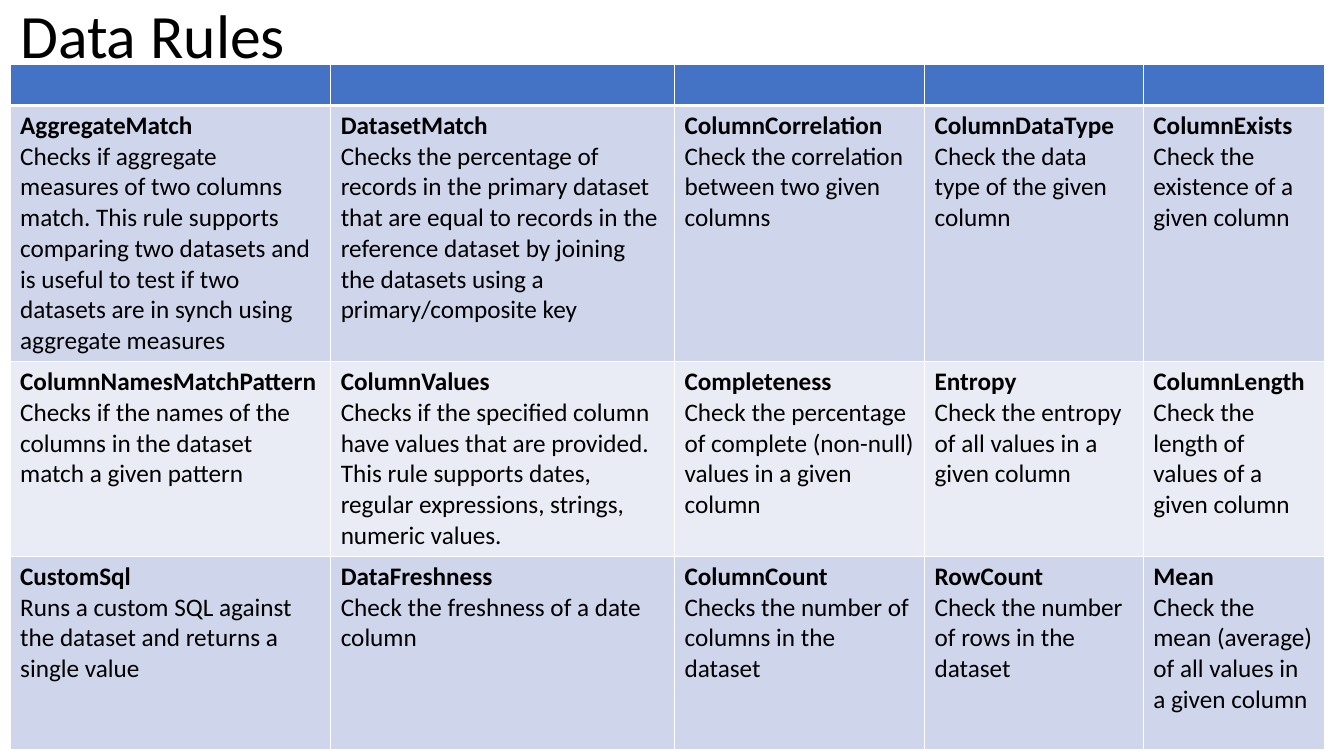
from lxml.etree import SubElement
from pptx import Presentation
from pptx.dml.color import RGBColor
from pptx.enum.text import MSO_ANCHOR, MSO_AUTO_SIZE, PP_ALIGN
from pptx.oxml.ns import qn
from pptx.util import Inches, Pt

BLACK = RGBColor(0x00, 0x00, 0x00)
WHITE = RGBColor(0xFF, 0xFF, 0xFF)
BLUE = RGBColor(0x44, 0x72, 0xC4)
BAND_DARK = RGBColor(0xCF, 0xD5, 0xEA)
BAND_LIGHT = RGBColor(0xE9, 0xEB, 0xF5)

COL_WIDTHS = [3.18, 3.41, 2.48, 2.17, 1.8]
ROW_HEIGHTS = [0.4, 2.54, 1.93, 1.92]

RULES = [
    [
        ("AggregateMatch", "Checks if aggregate measures of two columns match. "
         "This rule supports comparing two datasets and is useful to test if two "
         "datasets are in synch using aggregate measures"),
        ("DatasetMatch", "Checks the percentage of records in the primary dataset "
         "that are equal to records in the reference dataset by joining the "
         "datasets using a primary/composite key"),
        ("ColumnCorrelation", "Check the correlation between two given columns"),
        ("ColumnDataType", "Check the data type of the given column"),
        ("ColumnExists", "Check the existence of a given column"),
    ],
    [
        ("ColumnNamesMatchPattern",
         "Checks if the names of the columns in the dataset match a given pattern"),
        ("ColumnValues", "Checks if the specified column have values that are "
         "provided. This rule supports dates, regular expressions, strings, "
         "numeric values."),
        ("Completeness",
         "Check the percentage of complete (non-null) values in a given column"),
        ("Entropy", "Check the entropy of all values in a given column"),
        ("ColumnLength", "Check the length of values of a given column"),
    ],
    [
        ("CustomSql",
         "Runs a custom SQL against the dataset and returns a single value"),
        ("DataFreshness", "Check the freshness of a date column"),
        ("ColumnCount", "Checks the number of columns in the dataset"),
        ("RowCount", "Check the number of rows in the dataset"),
        ("Mean", "Check the mean (average) of all values in a given column"),
    ],
]


class SlideBuilder:
    def __init__(self, slide, font="Calibri", title_size=44, body_size=18):
        self.slide = slide
        self.font = font
        self.title_size = title_size
        self.body_size = body_size

    def style(self, p, size, bold=False):
        p.font.name = self.font
        p.font.size = Pt(size)
        p.font.bold = bold
        p.font.color.rgb = BLACK

    def title(self, text, left, top, width, height):
        sp = self.slide.shapes.title
        sp.left, sp.top = Inches(left), Inches(top)
        sp.width, sp.height = Inches(width), Inches(height)
        tf = sp.text_frame
        tf.text = text
        tf.word_wrap = True
        tf.auto_size = MSO_AUTO_SIZE.NONE
        tf.vertical_anchor = MSO_ANCHOR.MIDDLE
        p = tf.paragraphs[0]
        p.alignment = PP_ALIGN.LEFT
        p.line_spacing = 0.9
        self.style(p, self.title_size)

    def borders(self, cell, bottom=1):
        tc_pr = cell._tc.get_or_add_tcPr()
        for side, width in (("L", 1), ("R", 1), ("T", 1), ("B", bottom)):
            ln = SubElement(tc_pr, qn(f"a:ln{side}"), w=str(Pt(width)))
            fill = SubElement(ln, qn("a:solidFill"))
            SubElement(fill, qn("a:srgbClr"), val=str(WHITE))

    def cell(self, cell, fill, lines=(), bottom=1):
        """Fill a cell; the first line is its bold heading."""
        self.borders(cell, bottom)
        cell.fill.solid()
        cell.fill.fore_color.rgb = fill
        tf = cell.text_frame
        tf.text = "\n".join(lines)
        for i, p in enumerate(tf.paragraphs):
            self.style(p, self.body_size, bold=i == 0)

    def table(self, rules, left, top):
        """Add an empty header band with rows of rules in alternating bands."""
        table = self.slide.shapes.add_table(
            len(ROW_HEIGHTS), len(COL_WIDTHS), Inches(left), Inches(top),
            Inches(sum(COL_WIDTHS)), Inches(sum(ROW_HEIGHTS))).table
        for col, width in zip(table.columns, COL_WIDTHS):
            col.width = Inches(width)
        for row, height in zip(table.rows, ROW_HEIGHTS):
            row.height = Inches(height)
        for cell in table.rows[0].cells:
            self.cell(cell, BLUE, bottom=3)
        for r, row in enumerate(rules, start=1):
            band = BAND_DARK if r % 2 else BAND_LIGHT
            for c, rule in enumerate(row):
                self.cell(table.cell(r, c), band, rule)


def main():
    prs = Presentation()
    prs.slide_width, prs.slide_height = Inches(13.33), Inches(7.5)
    s = SlideBuilder(prs.slides.add_slide(prs.slide_layouts[5]))
    s.title("Data Rules", 0.1, -0.06, 11.5, 0.88)
    s.table(RULES, 0.1, 0.64)
    prs.save("out.pptx")


if __name__ == "__main__":
    main()
